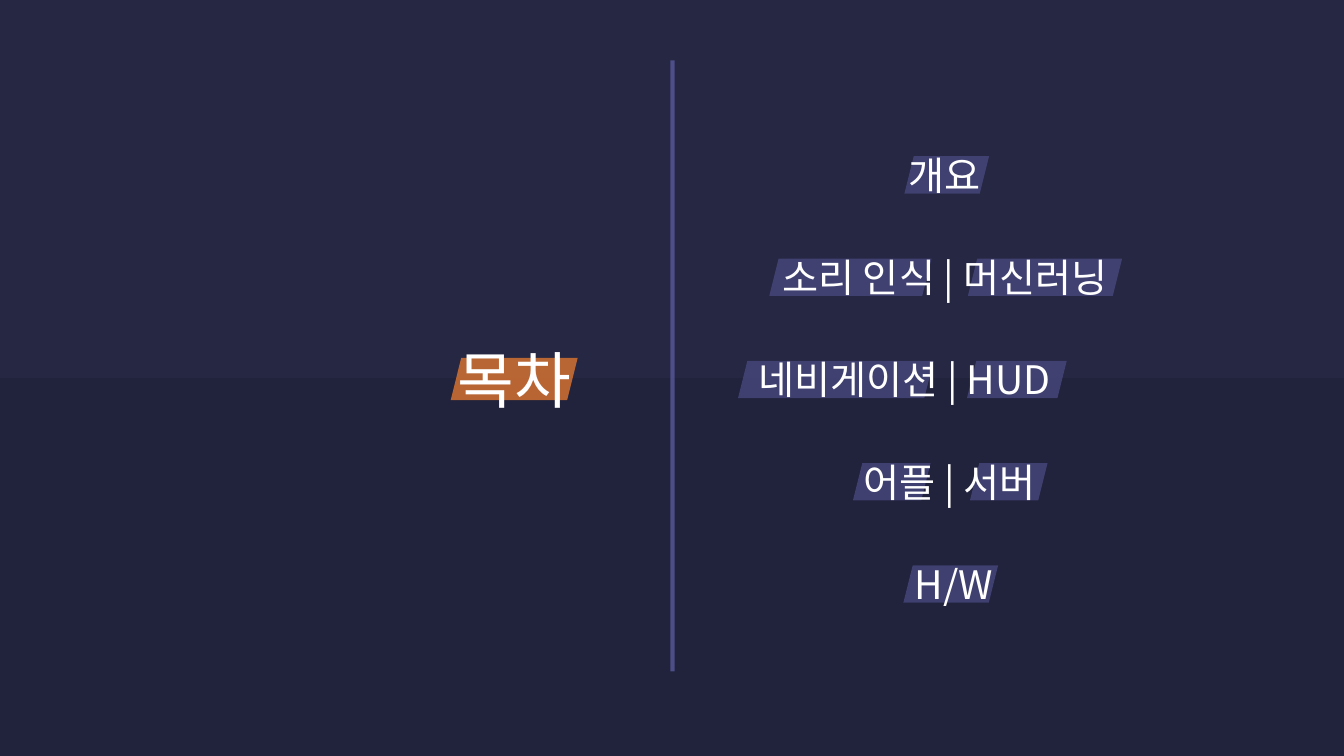
import pptx
import pptx.util
import pptx.dml.color
import pptx.enum.shapes
import pptx.enum.text
import pptx.oxml
import pptx.oxml.ns

Inches = pptx.util.Inches
Pt = pptx.util.Pt

FONT = "Noto Sans CJK KR"
COLORS = {
    "lower": "21223B",
    "upper": "262742",
    "title": "ED7D31",
    "topic": "4A4B82",
    "divider": "5C5DA0",
    "text": "FFFFFF",
}
OPACITY = 74
TITLE = "목차"

# Topic text, left edge of its box, (left, width) of each highlight
TOPICS = [
    ("개요", 7.51, [(8.97, 0.84)]),
    ("소리 인식 | 머신러닝", 7.51, [(7.63, 1.61), (9.6, 1.53)]),
    ("네비게이션 | HUD", 7.11, [(7.32, 1.94), (9.59, 0.99)]),
    ("어플 | 서버", 7.56, [(8.46, 0.77), (9.62, 0.77)]),
    ("H/W", 7.6, [(8.96, 0.94)]),
]
WIDTH, HEIGHT = 13.33, 7.5
TOPIC_TOP, TOPIC_STEP = 1.45, 1.015
TOPIC_WIDTH, TOPIC_HEIGHT = 3.72, 0.57
HIGHLIGHT_OFFSET, HIGHLIGHT_HEIGHT = 0.1, 0.37


def rgb(name):
    return pptx.dml.color.RGBColor.from_string(COLORS[name])


def add_element(parent, tag, **attributes):
    element = pptx.oxml.parse_xml(f"<{tag} {pptx.oxml.ns.nsdecls('a')}/>")
    for key, value in attributes.items():
        element.set(key, value)
    parent.append(element)


def make_translucent(owner):
    for color in owner.iter(pptx.oxml.ns.qn("a:srgbClr")):
        add_element(color, "a:alpha", val=str(OPACITY * 1000))


def add_block(slide, preset, color, left, top, width, height):
    block = slide.shapes.add_shape(
        preset, Inches(left), Inches(top), Inches(width), Inches(height))
    block.shadow.inherit = False
    block.fill.solid()
    block.fill.fore_color.rgb = rgb(color)
    block.line.fill.background()
    return block


def add_highlight(slide, color, left, top, width, height):
    parallelogram = pptx.enum.shapes.MSO_SHAPE.PARALLELOGRAM
    block = add_block(slide, parallelogram, color, left, top, width, height)
    make_translucent(block._element.spPr)


def write_centered(shape, text, size):
    frame = shape.text_frame
    frame.word_wrap = True
    frame.auto_size = pptx.enum.text.MSO_AUTO_SIZE.NONE
    frame.vertical_anchor = pptx.enum.text.MSO_ANCHOR.TOP
    paragraph = frame.paragraphs[0]
    paragraph.alignment = pptx.enum.text.PP_ALIGN.CENTER
    run = paragraph.add_run()
    run.text = text
    run.font.size = Pt(size)
    run.font.name = FONT
    run.font.color.rgb = rgb("text")
    add_element(run.font._element, "a:ea", typeface=FONT)


def add_title(slide):
    add_highlight(slide, "title", 4.47, 3.55, 1.26, 0.42)
    title = slide.shapes.title
    title.left, title.top = Inches(3.67), Inches(3.34)
    title.width, title.height = Inches(2.86), Inches(0.84)
    write_centered(title, TITLE, 44)
    slide.shapes._spTree.append(title._element)  # in front of its highlight


def add_divider(slide):
    center = Inches(6.67)
    divider = slide.shapes.add_connector(
        pptx.enum.shapes.MSO_CONNECTOR.STRAIGHT,
        center, Inches(0.6), center, Inches(6.66))
    divider.line.color.rgb = rgb("divider")
    divider.line.width = Pt(3)
    make_translucent(divider._element.spPr)
    add_element(divider._element.spPr, "a:effectLst")


def add_topics(slide):
    for row, (text, left, highlights) in enumerate(TOPICS):
        top = TOPIC_TOP + row * TOPIC_STEP
        for highlight_left, highlight_width in highlights:
            add_highlight(slide, "topic", highlight_left, top + HIGHLIGHT_OFFSET,
                          highlight_width, HIGHLIGHT_HEIGHT)
        topic = slide.shapes.add_textbox(
            Inches(left), Inches(top), Inches(TOPIC_WIDTH), Inches(TOPIC_HEIGHT))
        write_centered(topic, text, 28)


def main():
    deck = pptx.Presentation()
    deck.slide_width, deck.slide_height = Inches(WIDTH), Inches(HEIGHT)
    slide = deck.slides.add_slide(deck.slide_layouts[5])
    slide.background.fill.solid()
    slide.background.fill.fore_color.rgb = rgb("lower")
    add_block(slide, pptx.enum.shapes.MSO_SHAPE.RECTANGLE, "upper",
              0, 0, WIDTH, HEIGHT / 2)
    add_title(slide)
    add_divider(slide)
    add_topics(slide)
    deck.save("out.pptx")


if __name__ == "__main__":
    main()
